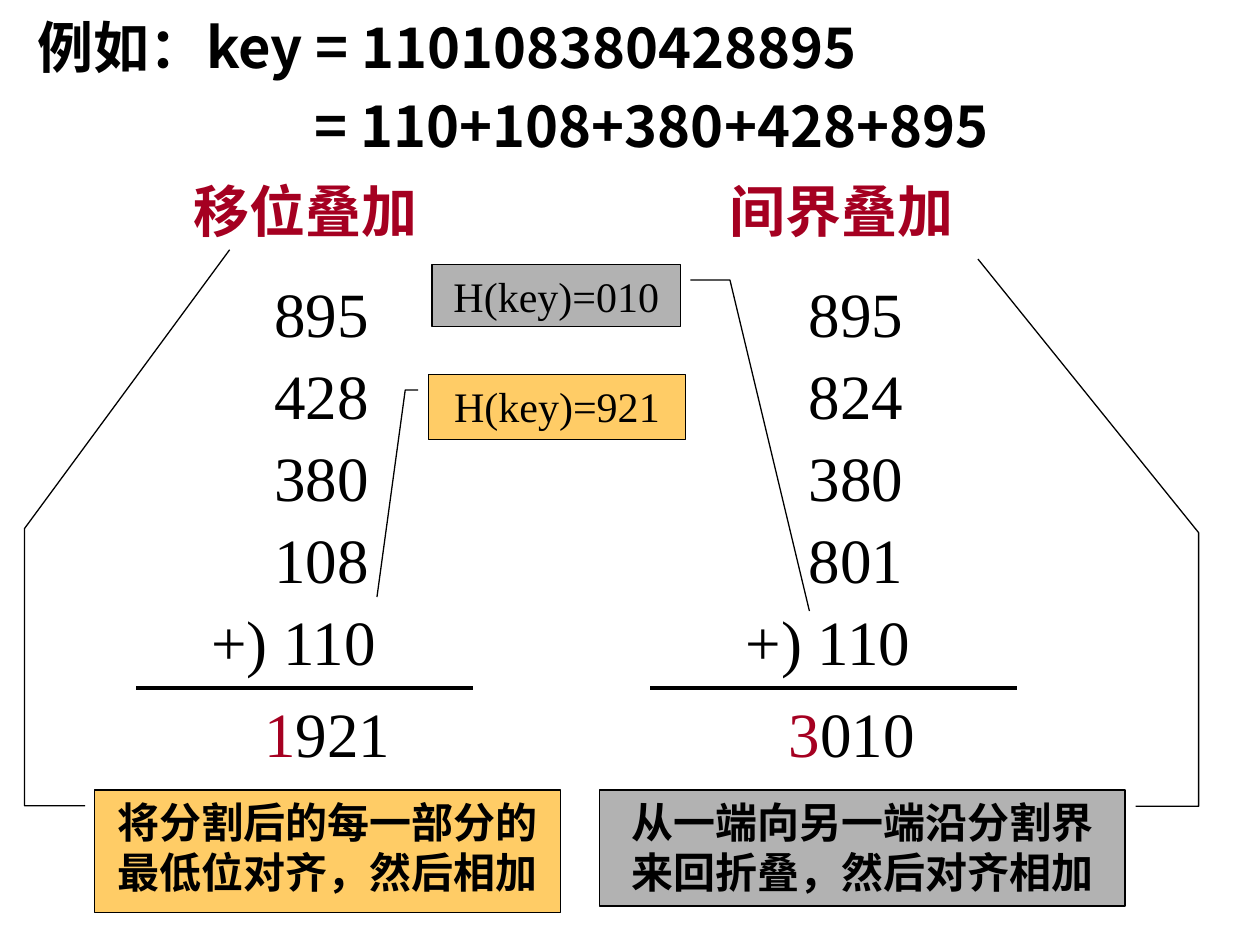
from lxml.etree import SubElement
from pptx import Presentation
from pptx.dml.color import RGBColor
from pptx.enum.shapes import MSO_CONNECTOR, MSO_SHAPE
from pptx.enum.text import MSO_ANCHOR, MSO_AUTO_SIZE, PP_ALIGN
from pptx.oxml.ns import qn
from pptx.util import Inches, Pt

BLACK = RGBColor(0x00, 0x00, 0x00)
RED = RGBColor(0xA5, 0x00, 0x21)
GOLD = RGBColor(0xFF, 0xCC, 0x66)
GRAY = RGBColor(0xB2, 0xB2, 0xB2)
SANS = "Noto Sans CJK SC"
SERIF = "Times New Roman"


def style(para, size, name, color=BLACK, bold=False, align=PP_ALIGN.LEFT):
    para.alignment = align
    para.line_spacing = Pt(size * 1.2)
    font = para.font
    font.size, font.name, font.bold = Pt(size), name, bold
    font.color.rgb = color
    SubElement(font._rPr, qn("a:ea"), typeface=SANS)


def add_text(slide, box, text, size, name, color=BLACK, bold=False):
    frame = slide.shapes.add_textbox(*map(Inches, box)).text_frame
    frame.word_wrap = True
    frame.text = text
    for para in frame.paragraphs:
        style(para, size, name, color, bold)
    return frame


def add_head(slide, left, top):
    title = slide.shapes.title
    title.left, title.top = Inches(left), Inches(top)
    title.width, title.height = Inches(7.17), Inches(0.63)
    frame = title.text_frame
    frame.text = "例如：key = 110108380428895"
    frame.auto_size = MSO_AUTO_SIZE.NONE
    frame.vertical_anchor = MSO_ANCHOR.TOP
    style(frame.paragraphs[0], 32, SANS, bold=True)
    add_text(slide, (left + 2.2, top + 0.63, 5.59, 0.63),
             "= 110+108+380+428+895", 32, SANS, bold=True)


def add_rule(slide, left, right, top):
    rule = slide.shapes.add_connector(
        MSO_CONNECTOR.STRAIGHT, Inches(left), Inches(top), Inches(right), Inches(top))
    rule.line.color.rgb = BLACK
    rule.line.width = Pt(2.25)
    SubElement(rule._element.spPr, qn("a:effectLst"))


def add_sum(slide, left, top, name, head, parts, rule, total, start):
    frame = add_text(slide, (head, top, 1.99, 0.63), name, 32, SANS, RED, True)
    frame.word_wrap = False
    frame = add_text(slide, (left, top + 0.78, 1.58, 3.35),
                     "\n".join(parts + ["+) 110"]), 36, SERIF)
    for para in frame.paragraphs:
        para.space_before = Pt(3.6)
    for para in frame.paragraphs[:-1]:
        para._p.get_or_add_pPr().set("marL", str(Inches(0.5)))
    add_rule(slide, *rule, top + 4.11)
    frame = add_text(slide, (start, top + 4.11, 1.25, 0.7), "", 36, SERIF)
    para = frame.paragraphs[0]
    carry, rest = para.add_run(), para.add_run()
    carry.text, rest.text = total[0], total[1:]
    carry.font.color.rgb = RED


def add_note(slide, kind, box, text, fill, points, bold=False):
    note = slide.shapes.add_shape(kind, *map(Inches, box))
    note.shadow.inherit = False
    note.fill.solid()
    note.fill.fore_color.rgb = fill
    note.line.color.rgb = BLACK
    note.line.width = Pt(0.75)
    for index, value in enumerate(points):
        note.adjustments[index] = value
    frame = note.text_frame
    frame.word_wrap = True
    frame.vertical_anchor = MSO_ANCHOR.TOP
    frame.text = text
    style(frame.paragraphs[0], 24, SERIF, bold=bold, align=PP_ALIGN.CENTER)


def main():
    deck = Presentation()
    deck.slide_width, deck.slide_height = Inches(10), Inches(7.5)
    slide = deck.slides.add_slide(deck.slide_layouts[5])
    add_head(slide, 0.2, 0.05)
    add_sum(slide, 1.58, 1.35, "移位叠加", 1.44, ["895", "428", "380", "108"],
            (1.08, 3.75), "1921", 2)
    add_sum(slide, 5.82, 1.35, "间界叠加", 5.69, ["895", "824", "380", "801"],
            (5.16, 8.07), "3010", 6.16)
    two, three = MSO_SHAPE.LINE_CALLOUT_2, MSO_SHAPE.LINE_CALLOUT_3
    add_note(slide, three, (0.75, 6.27, 3.7, 0.97),
             "将分割后的每一部分的最低位对齐，然后相加", GOLD,
             (0.13, -0.02, 0.13, -0.15, -2.14, -0.15, -4.42, 0.29), True)
    add_note(slide, three, (4.76, 6.27, 4.17, 0.92),
             "从一端向另一端沿分割界来回折叠，然后对齐相加", GRAY,
             (0.14, 1.02, 0.14, 1.14, -2.22, 1.14, -4.58, 0.72), True)
    add_note(slide, two, (3.4, 2.97, 2.04, 0.52), "H(key)=921", GOLD,
             (0.24, -0.04, 0.24, -0.09, 3.4, -0.2))
    add_note(slide, two, (3.43, 2.1, 1.97, 0.49), "H(key)=010", GRAY,
             (0.25, 1.04, 0.25, 1.2, 5.61, 1.52))
    deck.save("out.pptx")


if __name__ == "__main__":
    main()
